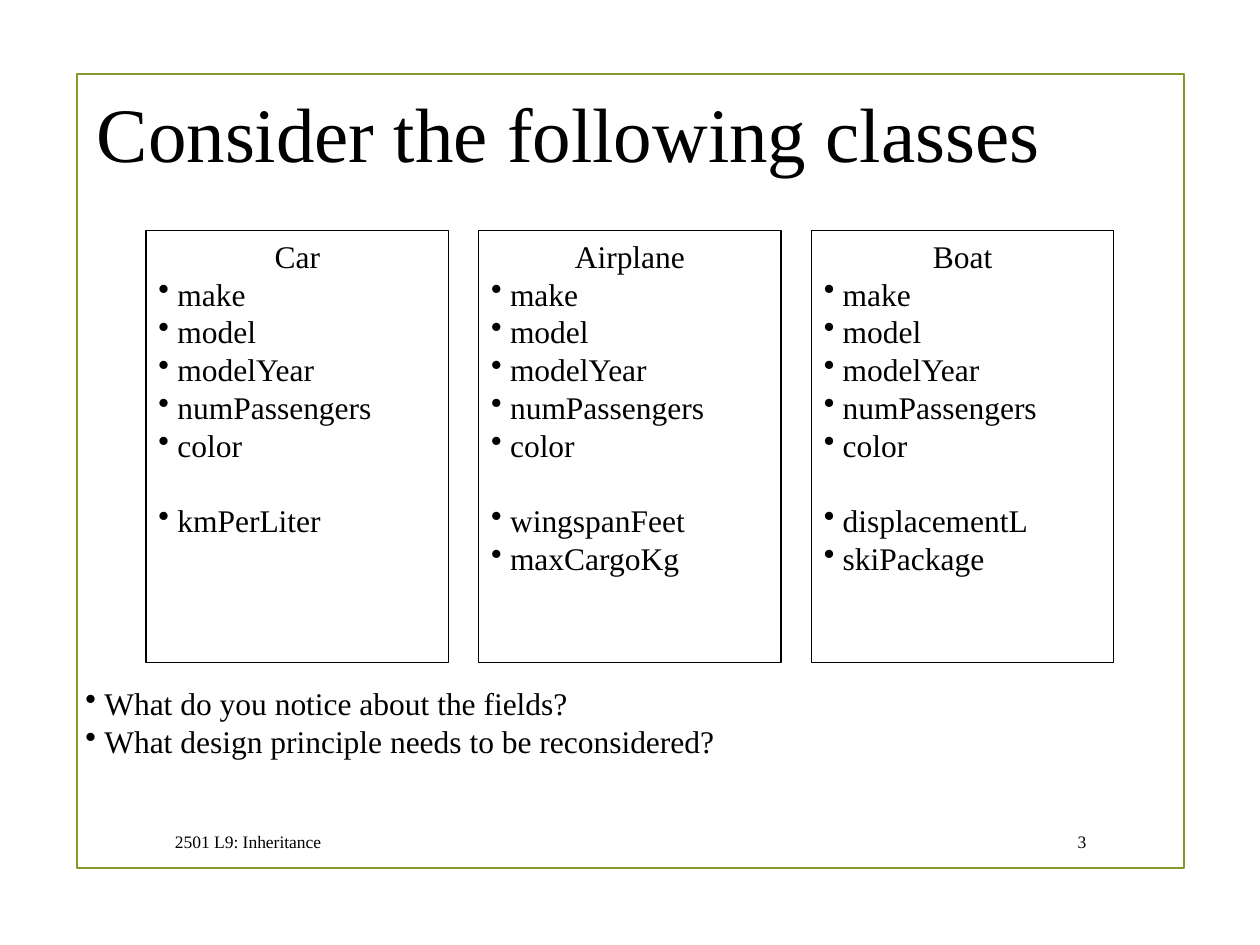
from pptx import Presentation
from pptx.dml.color import RGBColor
from pptx.enum.shapes import MSO_SHAPE
from pptx.enum.text import MSO_ANCHOR, PP_ALIGN
from pptx.oxml.xmlchemy import OxmlElement
from pptx.util import Inches, Pt


def paint(color, code):
    color.rgb = RGBColor.from_string(code)


class Deck:
    font = "Times New Roman"
    ink = "000000"
    green = "83992A"
    size = 18
    pitch = 21.6
    indent = 0.15

    def __init__(self):
        self.prs = Presentation()
        self.prs.slide_width = Inches(10)
        self.prs.slide_height = Inches(7.5)
        self.slide = self.prs.slides.add_slide(self.prs.slide_layouts[6])

    def rect(self, left, top, width, height, color, weight):
        box = self.slide.shapes.add_shape(
            MSO_SHAPE.RECTANGLE, *map(Inches, (left, top, width, height)))
        box.shadow.inherit = False
        box.fill.background()
        paint(box.line.color, color)
        box.line.width = Pt(weight)
        return box

    def text(self, left, top, width, height):
        frame = self.slide.shapes.add_textbox(
            *map(Inches, (left, top, width, height))).text_frame
        frame.word_wrap = True
        return frame

    def style(self, para, size, align=PP_ALIGN.LEFT):
        para.alignment = align
        for run in para.runs:
            run.font.name = self.font
            run.font.size = Pt(size)
            paint(run.font.color, self.ink)

    def label(self, left, top, width, height, text, size,
              align=PP_ALIGN.LEFT):
        frame = self.text(left, top, width, height)
        frame.vertical_anchor = MSO_ANCHOR.MIDDLE
        frame.text = text
        self.style(frame.paragraphs[0], size, align)

    def bullet(self, para):
        """Give the paragraph a bullet with a hanging indent."""
        props = para._p.get_or_add_pPr()
        props.set("marL", str(Inches(self.indent)))
        props.set("indent", str(-Inches(self.indent)))
        mark = OxmlElement("a:buChar")
        mark.set("char", "•")
        props.append(mark)

    def points(self, frame, lines):
        frame.text = "\n".join(lines)
        for para in frame.paragraphs:
            self.style(para, self.size)
            para.line_spacing = Pt(self.pitch)
            self.bullet(para)

    def card(self, left, top, width, height, name, shared, own):
        """Draw a class box: its name, the shared fields, then its own."""
        frame = self.rect(left, top, width, height, self.ink, 0.75).text_frame
        frame.vertical_anchor = MSO_ANCHOR.TOP
        self.points(frame, shared + own)
        frame.paragraphs[len(shared)].space_before = Pt(self.pitch)
        head = frame.add_paragraph()
        head.text = name
        self.style(head, self.size, PP_ALIGN.CENTER)
        head.line_spacing = Pt(self.pitch)
        frame.paragraphs[0]._p.addprevious(head._p)


def main():
    deck = Deck()
    deck.rect(0.61, 0.59, 8.79, 6.3, deck.green, 1.25)
    deck.label(0.67, 0.42, 8.5, 1.25, "Consider the following classes", 44)
    deck.label(1.29, 6.52, 5.58, 0.31, "2501 L9: Inheritance", 10)
    deck.label(8.29, 6.52, 0.43, 0.31, "3", 10, PP_ALIGN.RIGHT)

    shared = ["make", "model", "modelYear", "numPassengers", "color"]
    classes = {
        "Car": ["kmPerLiter"],
        "Airplane": ["wingspanFeet", "maxCargoKg"],
        "Boat": ["displacementL", "skiPackage"],
    }
    width, gap = 2.4, 0.24
    for col, (name, own) in enumerate(classes.items()):
        left = 1.16 + col * (width + gap)
        deck.card(left, 1.83, width, 3.43, name, shared, own)

    deck.points(deck.text(0.58, 5.38, 7.15, 1.01), [
        "What do you notice about the fields?",
        "What design principle needs to be reconsidered?",
    ])
    deck.prs.save("out.pptx")


if __name__ == "__main__":
    main()
